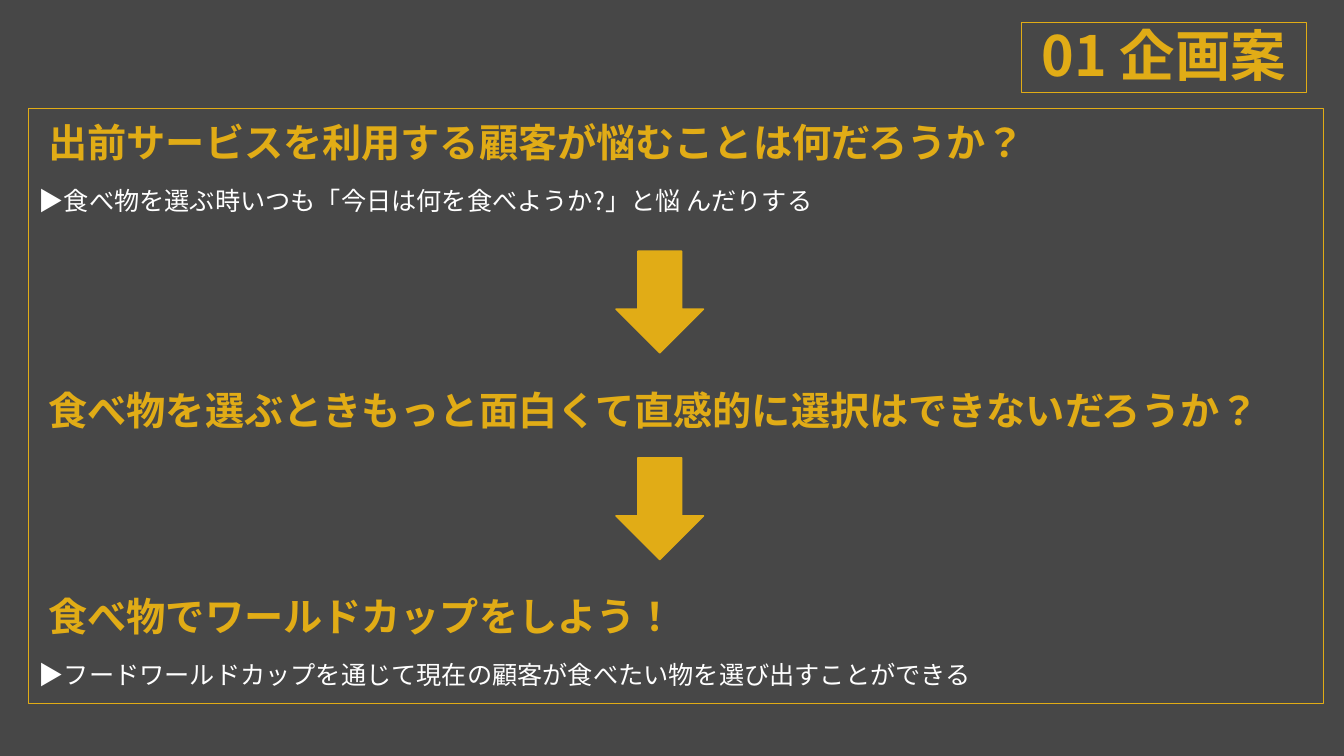
from pptx import Presentation
from pptx.dml.color import RGBColor
from pptx.enum.lang import MSO_LANGUAGE_ID as Language
from pptx.enum.shapes import MSO_SHAPE as Shape
from pptx.enum.text import MSO_ANCHOR as Anchor, PP_ALIGN as Align
from pptx.oxml.ns import qn
from pptx.util import Pt
from lxml.etree import SubElement

GOLD, WHITE, CHARCOAL = "E1AC16", "FFFFFF", "474747"
FONT = "Noto Sans CJK JP"

STEPS = [
    ("出前サービスを利用する顧客が悩むことは何だろうか？",
     "▶食べ物を選ぶ時いつも「今日は何を食べようか?」と悩 んだりする", 0),
    ("食べ物を選ぶときもっと面白くて直感的に選択はできないだろうか？", None, 122.4),
    ("食べ物でワールドカップをしよう！",
     "▶フードワールドカップを通じて現在の顧客が食べたい物を選び出すことができる", 113.7),
]


def color(hex_code):
    return RGBColor.from_string(hex_code)


def add_run(paragraph, words, size, hex_code, bold):
    run = paragraph.add_run()
    run.text = words
    font = run.font
    font.size, font.bold, font.name = Pt(size), bold, FONT
    font.language_id = Language.JAPANESE
    font.color.rgb = color(hex_code)
    SubElement(font._element, qn("a:ea")).set("typeface", FONT)


def add_frame(slide, left, top, width, height, inset_x, inset_y, anchor):
    frame = slide.shapes.add_shape(
        Shape.RECTANGLE, Pt(left), Pt(top), Pt(width), Pt(height))
    frame.shadow.inherit = False
    frame.fill.background()
    frame.line.color.rgb = color(GOLD)
    frame.line.width = Pt(0.75)
    text = frame.text_frame
    text.word_wrap = True
    text.vertical_anchor = anchor
    text.margin_left = text.margin_right = Pt(inset_x)
    text.margin_top = text.margin_bottom = Pt(inset_y)
    return text


def add_title(slide, left, top, width, height):
    text = add_frame(slide, left, top, width, height, 7.2, 3.6, Anchor.BOTTOM)
    title = text.paragraphs[0]
    title.alignment = Align.CENTER
    title.line_spacing = 0.85
    add_run(title, "01 企画案", 39.6, GOLD, True)


def add_line(text, words, size, hex_code, bold, gap, indent):
    first = text.paragraphs[0]
    line = text.add_paragraph() if first.runs else first
    line.alignment = Align.LEFT
    line.space_before = Pt(gap)
    line._p.get_or_add_pPr().set("marL", str(Pt(indent)))
    add_run(line, words, size, hex_code, bold)


def add_arrow(slide, left, top, width, height):
    arrow = slide.shapes.add_shape(
        Shape.DOWN_ARROW, Pt(left), Pt(top), Pt(width), Pt(height))
    arrow.shadow.inherit = False
    arrow.fill.solid()
    arrow.fill.fore_color.rgb = color(GOLD)
    arrow.line.color.rgb = color(GOLD)
    arrow.line.width = Pt(1)


def add_plan(slide, left, top, width, height):
    text = add_frame(slide, left, top, width, height, 7.2, 7.5, Anchor.TOP)
    for question, answer, gap in STEPS:
        add_line(text, question, 28, GOLD, True, gap, 7)
        if answer:
            add_line(text, answer, 18, WHITE, False, 13.7, 0)
    for step in range(len(STEPS) - 1):
        add_arrow(slide, left + 419.4, top + 102.2 + step * 147.6, 62.6, 72.7)


def main():
    deck = Presentation()
    deck.slide_width, deck.slide_height = Pt(960), Pt(540)
    slide = deck.slides.add_slide(deck.slide_layouts[6])
    slide.background.fill.solid()
    slide.background.fill.fore_color.rgb = color(CHARCOAL)
    add_title(slide, 729.5, 16.4, 204, 50)
    add_plan(slide, 20.6, 77.2, 924.6, 425.4)
    deck.save("out.pptx")


if __name__ == "__main__":
    main()
